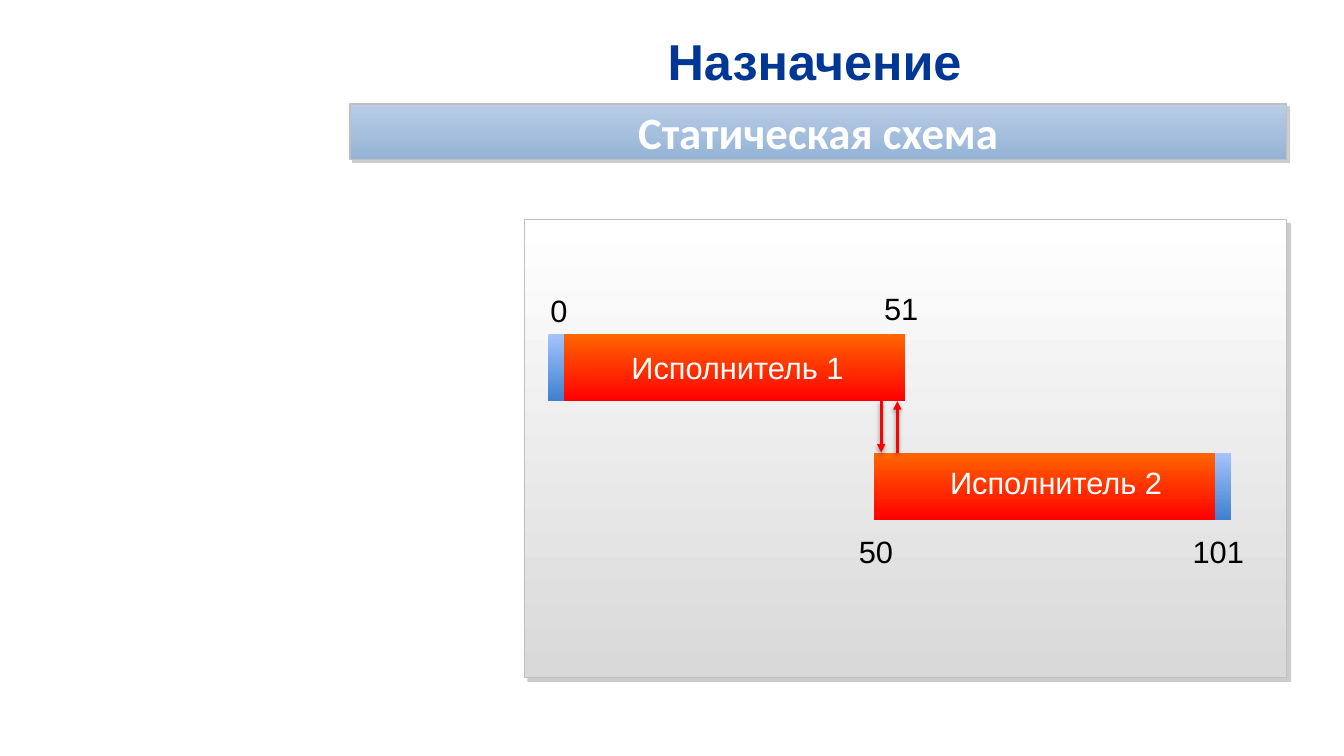
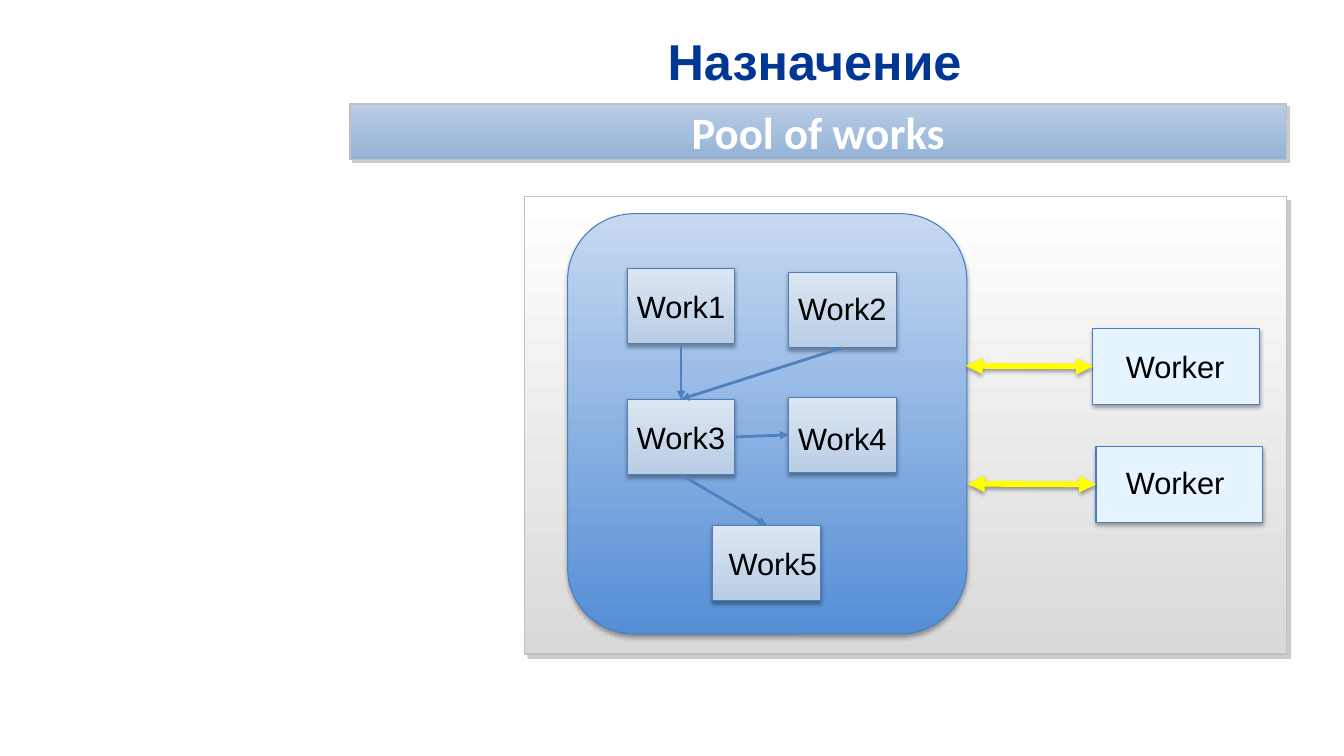
from lxml import etree
from pptx import Presentation
from pptx.dml.color import RGBColor
from pptx.enum.shapes import MSO_CONNECTOR, MSO_SHAPE
from pptx.enum.text import MSO_ANCHOR, PP_ALIGN
from pptx.oxml import parse_xml
from pptx.oxml.ns import qn
from pptx.util import Inches, Pt

RECT, ROUNDED = MSO_SHAPE.RECTANGLE, MSO_SHAPE.ROUNDED_RECTANGLE
STRAIGHT = MSO_CONNECTOR.STRAIGHT
CENTER, LEFT = PP_ALIGN.CENTER, PP_ALIGN.LEFT
MIDDLE = MSO_ANCHOR.MIDDLE
TOP, LEFT_SIDE, BOTTOM, RIGHT_SIDE = range(4)
DRAWING_NS = "http://schemas.openxmlformats.org/drawingml/2006/main"

# Text styles: size, font, colour, bold
TITLE = (36, "Arial", "003794", True)
BAND = (32, "Calibri", "FFFFFF", True)
LABEL = (22, "Arial", "000000", False)
BAR_LABEL = (22, "Arial", "FFFFFF", False)

# Shadows: colour, opacity %, blur pt, distance pt, angle
BAND_SHADOW = ("808080", 40, 0, 3, 45)
PANEL_SHADOW = ("808080", 40, 0, 4, 45)
BOX_SHADOW = ("000000", 35, 3.1, 1.8, 90)
LINE_SHADOW = ("000000", 38, 3.1, 1.6, 90)

# Box looks: fill (one colour or top and bottom), line, shadow
GREY_LINE, BLUE_LINE = ("C0C0C0", 1), ("4B7EBC", 0.75)
LOOKS = {
    "band": (("B9CDE5", "95B3D7"), GREY_LINE, BAND_SHADOW),
    "panel": (("FFFFFF", "D9D9D9"), GREY_LINE, PANEL_SHADOW),
    "margin": (("A4C4FF", "3F80CE"), None, None),
    "bar": (("FF6600", "FF0000"), None, None),
    "pool": (("C6D9F1", "558ED5"), BLUE_LINE, BOX_SHADOW),
    "work": (("DCE6F2", "B9CDE5"), BLUE_LINE, BOX_SHADOW),
    "worker": (("E5F4FF",), BLUE_LINE, BOX_SHADOW),
}

rgb = RGBColor.from_string


def add_box(slide, at, look=None, text="", style=LABEL, align=CENTER,
            preset=RECT, nudge=(0, 0)):
    """Add a text box, or a filled shape if a look is given."""
    place = [Inches(length) for length in at]
    if look is None:
        box = slide.shapes.add_textbox(*place)
    else:
        box = slide.shapes.add_shape(preset, *place)
        box.shadow.inherit = False
        fill, line, shadow = LOOKS[look]
        if len(fill) == 1:
            box.fill.solid()
            box.fill.fore_color.rgb = rgb(fill[0])
        else:
            box.fill.gradient()
            box.fill.gradient_angle = 270
            for stop, colour in zip(box.fill.gradient_stops, fill):
                stop.color.rgb = rgb(colour)
        if line:
            box.line.color.rgb = rgb(line[0])
            box.line.width = Pt(line[1])
        else:
            box.line.fill.background()
        add_shadow_to(box, shadow)
    if text:
        frame = box.text_frame
        frame.word_wrap = True
        frame.vertical_anchor = MIDDLE
        if look:
            frame.margin_left, frame.margin_right = Inches(2 * nudge[0]), 0
            frame.margin_top, frame.margin_bottom = 0, Inches(2 * nudge[1])
        paragraph = frame.paragraphs[0]
        paragraph.alignment = align
        run = paragraph.add_run()
        run.text = text
        size, run.font.name, colour, run.font.bold = style
        run.font.size = Pt(size)
        run.font.color.rgb = rgb(colour)
    return box


def add_shadow_to(item, shadow):
    """Set the effects of a shape or connector; None leaves it plain."""
    properties = item._element.spPr
    effects = properties.find(qn("a:effectLst"))
    if effects is None:
        effects = etree.SubElement(properties, qn("a:effectLst"))
    if shadow:
        colour, opacity, blur, distance, angle = shadow
        effects.append(parse_xml(
            f'<a:outerShdw xmlns:a="{DRAWING_NS}" blurRad="{Pt(blur)}" '
            f'dist="{Pt(distance)}" dir="{angle * 60000}" rotWithShape="0">'
            f'<a:srgbClr val="{colour}"><a:alpha val="{opacity * 1000}"/>'
            f'</a:srgbClr></a:outerShdw>'))


deck = Presentation()
deck.slide_width, deck.slide_height = Inches(13.33), Inches(7.5)

# Shared parts: panel, title, band
slides = []
for heading, panel_top in (("Статическая схема", 2.18), ("Pool of works", 1.95)):
    slide = deck.slides.add_slide(deck.slide_layouts[6])
    add_box(slide, (5.2, panel_top, 7.56, 4.54), "panel")
    add_box(slide, (3.2, 0.12, 9.76, 0.95), text="Назначение", style=TITLE)
    add_box(slide, (3.47, 1.03, 9.29, 0.55), "band", heading, BAND)
    slides.append(slide)
schedule, pool_slide = slides
arrows = []

# Static schedule: two bars that overlap in time
BAR_HEIGHT, STEP = 0.67, 0.16
for name, outer_left, bar_left, overlap_left, top, nudge in (
        ("Исполнитель 2", 8.67, 8.82, 8.67, 4.49, (0.04, 0.04)),
        ("Исполнитель 1", 5.44, 5.59, 8.82, 3.31, (0.11, 0))):
    add_box(schedule, (outer_left, top, 3.54, BAR_HEIGHT), "margin")
    add_box(schedule, (bar_left, top, 3.23, BAR_HEIGHT), "bar", name,
            BAR_LABEL, nudge=nudge)
    add_box(schedule, (overlap_left, top, STEP, BAR_HEIGHT), "bar")

for moment, left, top in (("0", 5.36, 2.84), ("51", 8.67, 2.82),
                          ("50", 8.42, 5.23), ("101", 11.73, 5.23)):
    add_box(schedule, (left, top, 1.11, 0.47), text=moment, align=LEFT)

for x, start, end in ((8.9, 4.49, 3.98), (8.74, 3.98, 4.49)):
    exchange = schedule.shapes.add_connector(
        STRAIGHT, Inches(x), Inches(start), Inches(x), Inches(end))
    arrows.append((exchange, "FF0000", 2, ("tailEnd",), LINE_SHADOW))

# Pool of works and its workers
add_box(pool_slide, (5.63, 2.12, 3.96, 4.17), "pool", preset=ROUNDED)
works = {}
for name, left, top, nudge in (
        ("Work1", 6.22, 2.66, (0, 0)), ("Work2", 7.82, 2.7, (0, 0.02)),
        ("Work3", 6.22, 3.96, (0, 0)), ("Work4", 7.82, 3.94, (0, -0.03)),
        ("Work5", 7.07, 5.21, (0.06, 0))):
    works[name] = add_box(pool_slide, (left, top, 1.07, 0.75), "work", name,
                          nudge=nudge)

for left, top, pool_edge, nudge in ((10.84, 3.26, 9.58, (-0.01, 0)),
                                    (10.87, 4.43, 9.6, (-0.04, 0.02))):
    worker = add_box(pool_slide, (left, top, 1.65, 0.75), "worker", "Worker",
                     nudge=nudge)
    y = Inches(top + 0.37)
    request = pool_slide.shapes.add_connector(
        STRAIGHT, Inches(left), y, Inches(pool_edge), y)
    request.begin_connect(worker, LEFT_SIDE)
    arrows.append((request, "FFFF00", 4, ("headEnd", "tailEnd"), LINE_SHADOW))

# Dependencies between works
for source, source_side, target, target_side in (
        ("Work1", BOTTOM, "Work3", TOP), ("Work2", BOTTOM, "Work3", TOP),
        ("Work3", BOTTOM, "Work5", TOP), ("Work3", RIGHT_SIDE, "Work4", LEFT_SIDE)):
    dependency = pool_slide.shapes.add_connector(STRAIGHT, 0, 0, 0, 0)
    dependency.begin_connect(works[source], source_side)
    dependency.end_connect(works[target], target_side)
    arrows.append((dependency, "4F81BD", 2, ("tailEnd",), None))

# Arrow formatting
for arrow, colour, width, ends, shadow in arrows:
    arrow.line.color.rgb = rgb(colour)
    arrow.line.width = Pt(width)
    for end in ends:
        etree.SubElement(arrow.line._get_or_add_ln(), qn(f"a:{end}"), type="triangle")
    add_shadow_to(arrow, shadow)

deck.save("out.pptx")
